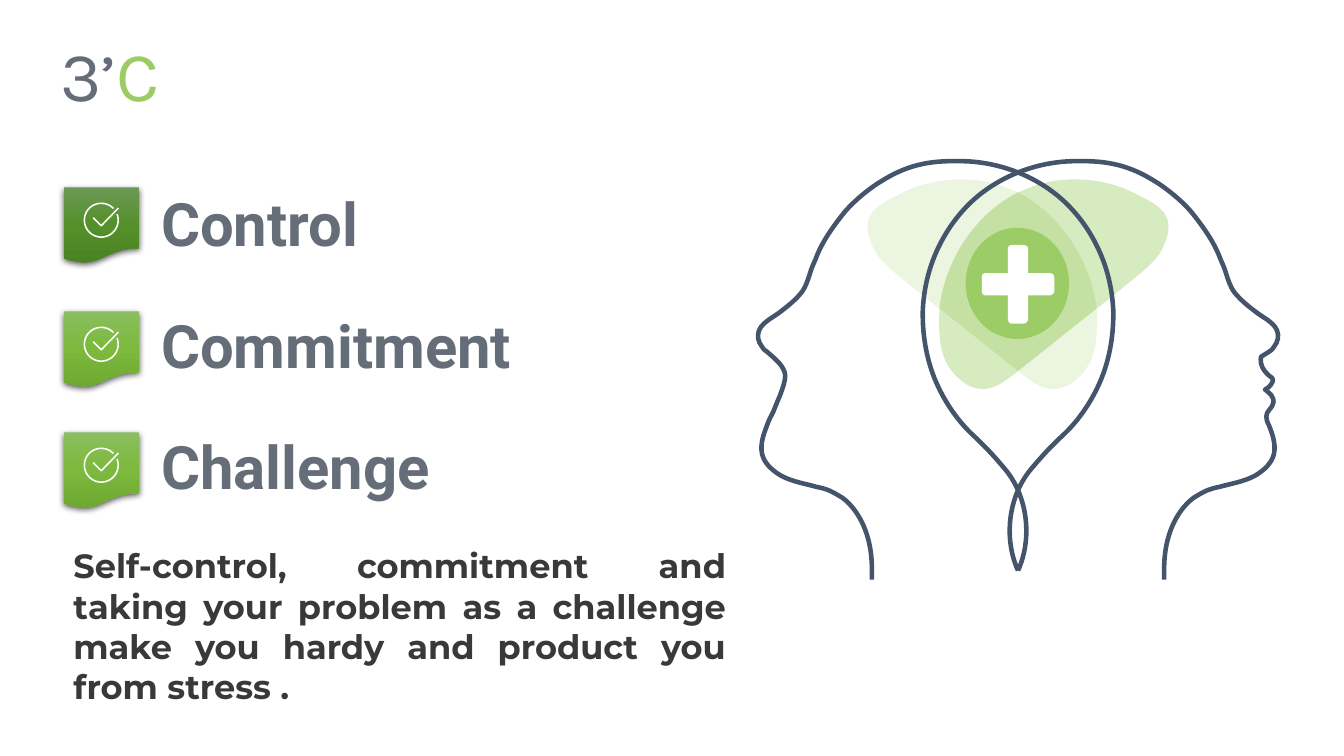
from copy import deepcopy
from math import cos, radians, sin, tan

from lxml.etree import SubElement
from pptx import Presentation
from pptx.dml.color import RGBColor
from pptx.enum.shapes import MSO_SHAPE
from pptx.enum.text import MSO_ANCHOR, PP_ALIGN
from pptx.oxml.ns import qn
from pptx.util import Pt

COLORS = {
    "gray": "656D78", "green": "9CCC65", "navy": "44546A", "white": "FFFFFF",
    "body": "3B3838", "pale": "EBF5E0", "light": "D7EBC1", "overlap": "C4E0A3",
}
DARK_GREENS = ("6C9954", "54902A", "4A8422")
LIGHT_GREENS = ("8BBE5E", "7CB93C", "6EA931")

# Outlines use a grid of UNIT points; the heads mirror each other about AXIS.
# A segment of two numbers is a line, one of six a Bézier curve.
UNIT = 0.72
AXIS = 1010

JAW = [
    (865, 575), (865, 561), (864, 524, 848, 503, 836, 494),
    (823, 486, 820, 485, 810, 483), (800, 480, 786, 478, 775, 472),
    (765, 466, 758, 459, 756, 450), (754, 440, 758, 430, 761, 422),
]
SMOOTH_MOUTH = [
    (763, 416, 765, 413, 767, 409), (769, 404, 771, 399, 774, 392),
    (776, 386, 779, 380, 779, 372), (778, 363, 769, 356, 761, 349),
]
LIPS = [
    (765, 415, 764, 410, 761, 407), (759, 405, 757, 402, 756.5, 399),
    (756, 394, 760, 390, 765, 386.5), (762, 385, 760, 383, 759, 381.5),
    (756, 377, 757, 375, 760, 373.5), (764, 370, 768, 366, 769, 360),
    (769.5, 358, 769, 356, 769, 354), (766, 352, 764, 351, 761, 349),
]
NOSE_AND_SKULL = [
    (759, 348, 757, 346, 756, 344), (752, 339, 751, 333, 753, 328),
    (755, 323, 759, 320, 763, 317), (766, 315, 769, 313, 772, 311),
    (780, 305, 788, 299, 795, 290.5), (800, 284, 802, 276, 805, 267),
    (806, 264, 807.5, 261, 809, 257.5), (815, 241, 825, 227, 835.5, 213.5),
    (847, 198.5, 867, 184, 874, 180), (904, 161, 928, 159, 959, 160),
    (991, 161.5, 1022, 173, 1046, 191.5),
    (1063, 204.5, 1077.5, 222.5, 1087.5, 242.5),
    (1098, 263, 1103.5, 285.5, 1104.5, 308),
    (1105, 330.5, 1101.5, 353.5, 1093, 375),
    (1084.5, 396, 1071.5, 415.5, 1056.5, 430),
    (1042.5, 443, 1034.5, 451.5, 1022, 466.5),
    (1000.5, 493, 995.5, 534, 1010, 566),
]
LOBE = [
    (1088, 306), (1089, 330, 1088, 348, 1080, 362),
    (1072, 375, 1059, 386, 1045, 386), (1032, 386, 1020, 376, 1010, 368),
    (932, 306), (920, 297, 908, 287, 897, 278),
    (887, 270, 877, 262, 869, 251), (864, 242, 857, 225, 863, 215),
    (867, 205, 882, 198, 890, 194), (910, 183, 932, 178, 953, 178),
    (976, 178, 990, 182, 1010, 191), (1051, 212, 1082, 257, 1088, 306),
]
LENS = [
    (1010, 191), (968, 212, 938, 257, 932, 306), (1010, 368),
    (1088, 306), (1082, 257, 1051, 212, 1010, 191),
]
PLUS = [
    (1042, 271), (1020, 271), (1020, 246), (1020, 245, 1018, 243, 1016, 243),
    (1003, 243), (1001, 243, 1000, 245, 1000, 246), (1000, 271), (977, 271),
    (975, 271, 974, 272, 974, 275), (974, 289), (974, 291, 975, 293, 977, 293),
    (1000, 293), (1000, 317), (1000, 319, 1001, 321, 1003, 321), (1016, 321),
    (1018, 321, 1020, 319, 1020, 317), (1020, 293), (1042, 293),
    (1044, 293, 1046, 291, 1046, 289), (1046, 275), (1046, 272, 1044, 271, 1042, 271),
]


def rgb(name):
    return RGBColor.from_string(COLORS[name])


def mirror(segments):
    return [tuple(v if i % 2 else 2 * AXIS - v for i, v in enumerate(seg))
            for seg in segments]


def arc(x, y, radius, start, end, parts=4):
    """Return the curve segments of a circular arc, angles in degrees."""
    step = radians(end - start) / parts
    k = 4 / 3 * tan(step / 4)
    segments = [(x + radius * cos(radians(start)), y + radius * sin(radians(start)))]
    for i in range(parts):
        a = radians(start) + i * step
        b = a + step
        segments.append((x + radius * (cos(a) - k * sin(a)), y + radius * (sin(a) + k * cos(a)),
                         x + radius * (cos(b) + k * sin(b)), y + radius * (sin(b) - k * cos(b)),
                         x + radius * cos(b), y + radius * sin(b)))
    return segments


def add_outline(shapes, contours, fill=None, line=None, width=0):
    """Draw contours as one freeform, closed when it is filled."""
    builder = None
    for segments in contours:
        (x, y), *rest = [[Pt(v * UNIT) for v in seg[-2:]] for seg in segments]
        if builder is None:
            builder = shapes.build_freeform(x, y, scale=1.0)
        else:
            builder.move_to(x, y)
        builder.add_line_segments(rest, close=fill is not None)
    sp = builder.convert_to_shape()
    bend(sp, [seg for segments in contours for seg in segments[1:]])
    paint(sp, fill, line, width)


def bend(sp, segments):
    """Turn the straight pieces of a freeform into curves where asked."""
    for piece, seg in zip(list(sp._element.iter(qn("a:lnTo"))), segments):
        if len(seg) == 6:
            piece.tag = qn("a:cubicBezTo")
            for x, y in (seg[:2], seg[2:4]):
                SubElement(piece, qn("a:pt"), x=str(Pt(x * UNIT) - sp.left),
                           y=str(Pt(y * UNIT) - sp.top))
            piece.append(piece[0])


def paint(sp, fill=None, line=None, width=0):
    sp.shadow.inherit = False
    if fill:
        sp.fill.solid()
        sp.fill.fore_color.rgb = rgb(fill)
    else:
        sp.fill.background()
    if line:
        sp.line.color.rgb = rgb(line)
        sp.line.width = Pt(width)
    else:
        sp.line.fill.background()


def add_badge(shapes, top, greens):
    """Add a gradient flag with a ticked circle on it."""
    group = shapes.add_group_shape().shapes
    sp = group.add_shape(MSO_SHAPE.FLOWCHART_DOCUMENT, Pt(45.4), Pt(top), Pt(54), Pt(54))
    paint(sp)
    sp.fill.gradient()
    sp.fill.gradient_angle = 270
    stops = sp._element.spPr.find(".//" + qn("a:gsLst"))
    stops.append(deepcopy(stops[0]))
    for stop, position, color in zip(sp.fill.gradient_stops, (0, 0.5, 1), greens):
        stop.position = position
        stop.color.rgb = RGBColor.from_string(color)
    effects = sp._element.spPr.find(qn("a:effectLst"))
    shadow = SubElement(effects, qn("a:outerShdw"), blurRad=str(Pt(4.5)),
                        dist=str(Pt(1.5)), dir="5400000", algn="t", rotWithShape="0")
    black = SubElement(shadow, qn("a:srgbClr"), val="000000")
    SubElement(black, qn("a:alpha"), val="63000")

    x, y = 100.5, top / UNIT + 32.5
    ring = arc(x, y, 16.8, -21, 316)
    tick = [(x - 8, y - 2.5), (x, y + 5.5), (x + 17, y - 12)]
    add_outline(group, [ring, tick], line="white", width=1.1)


def add_run(p, text, font, size, color, bold=False):
    r = p.add_run()
    r.text = text
    r.font.name = font
    r.font.size = Pt(size)
    r.font.bold = bold
    r.font.color.rgb = rgb(color)


def add_text(shapes, box, text, font, size, color, align=PP_ALIGN.LEFT):
    tf = shapes.add_textbox(*map(Pt, box)).text_frame
    tf.word_wrap = True
    p = tf.paragraphs[0]
    p.alignment = align
    add_run(p, text, font, size, color, bold=True)


def set_title(title):
    title.left, title.top, title.width, title.height = map(Pt, (14.4, 18.7, 128.2, 67.7))
    tf = title.text_frame
    tf.vertical_anchor = MSO_ANCHOR.TOP
    p = tf.paragraphs[0]
    p.alignment = PP_ALIGN.CENTER
    add_run(p, "3’", "Karla", 50, "gray")
    add_run(p, "C", "Karla", 50, "green")


def add_heads(shapes):
    group = shapes.add_group_shape().shapes
    add_outline(group, [LOBE], fill="pale")
    add_outline(group, [mirror(JAW + LIPS + NOSE_AND_SKULL)], line="navy", width=3.25)
    add_outline(group, [mirror(LOBE)], fill="light")
    add_outline(group, [LENS], fill="overlap")
    circle = group.add_shape(MSO_SHAPE.OVAL, Pt(689.8), Pt(162.7), Pt(73.8), Pt(79.4))
    paint(circle, "green")
    add_outline(group, [PLUS], fill="white")
    add_outline(group, [JAW + SMOOTH_MOUTH + NOSE_AND_SKULL], line="navy", width=3.25)


def main():
    prs = Presentation()
    prs.slide_width, prs.slide_height = Pt(960), Pt(540)
    s = prs.slides.add_slide(prs.slide_layouts[5])
    set_title(s.shapes.title)
    add_heads(s.shapes)
    for word, badge_top, label_top, greens in (
        ("Control", 133.9, 130, DARK_GREENS),
        ("Commitment", 222.5, 216.7, LIGHT_GREENS),
        ("Challenge", 308.9, 303.1, LIGHT_GREENS),
    ):
        add_badge(s.shapes, badge_top, greens)
        add_text(s.shapes, (108, label_top, 480, 59), word, "Roboto", 42.7, "gray")
    add_text(s.shapes, (45.4, 385.9, 480.2, 123.8),
             "Self-control, commitment and taking your problem as a challenge "
             "make you hardy and product you from stress .",
             "Montserrat", 24, "body", PP_ALIGN.JUSTIFY)
    prs.save("out.pptx")


if __name__ == "__main__":
    main()
